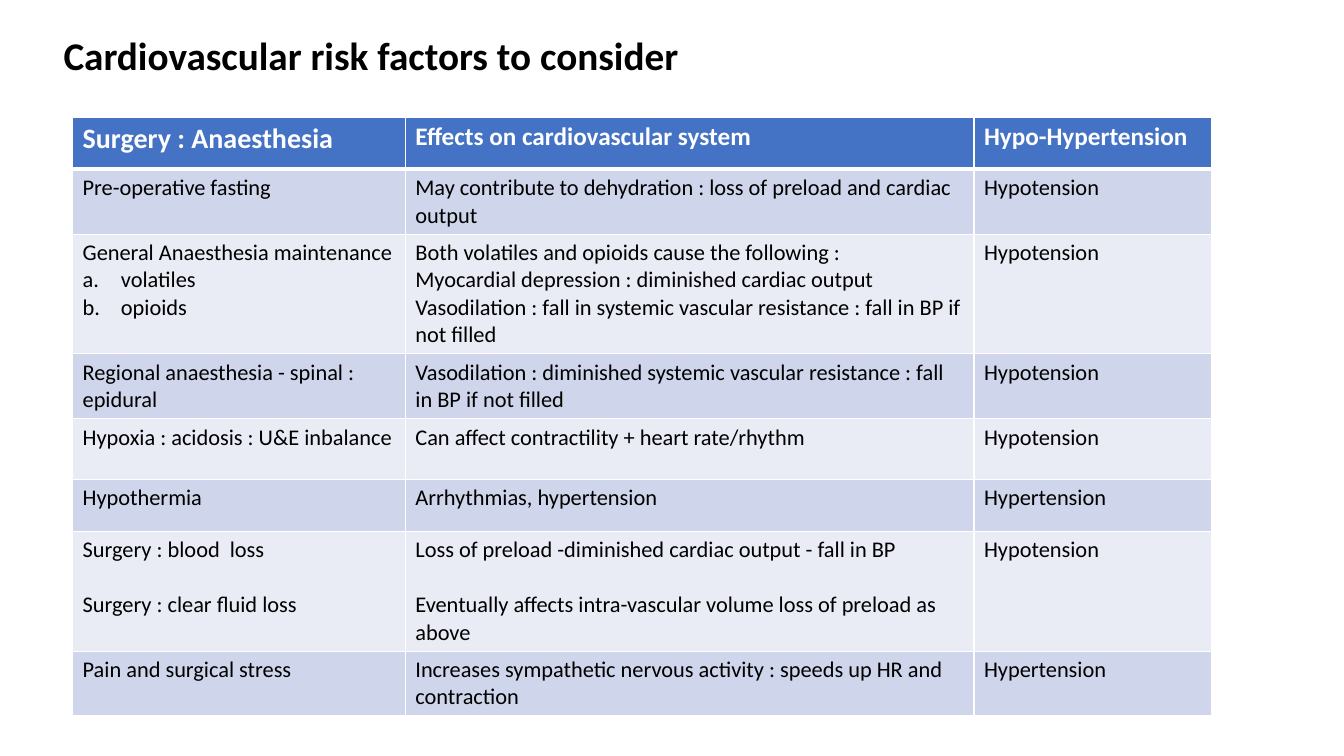
from lxml import etree
from pptx import Presentation
from pptx.dml.color import RGBColor
from pptx.enum.text import MSO_ANCHOR, MSO_AUTO_SIZE, PP_ALIGN
from pptx.oxml.ns import qn
from pptx.util import Pt

PX = 9144
FONT = "Calibri"
TOP = MSO_ANCHOR.TOP
NO_AUTOFIT = MSO_AUTO_SIZE.NONE
LEFT = PP_ALIGN.LEFT

BLACK = RGBColor(0x00, 0x00, 0x00)
WHITE = RGBColor(0xFF, 0xFF, 0xFF)
HEADER_BLUE = RGBColor(0x44, 0x72, 0xC4)
BANDS = [RGBColor(0xCF, 0xD5, 0xEA), RGBColor(0xE9, 0xEB, 0xF5)]

TITLE = "Cardiovascular risk factors to consider"
HEADERS = [
    ("Surgery : Anaesthesia", 20),
    ("Effects on cardiovascular system", 18),
    ("Hypo-Hypertension", 18),
]
RISKS = [
    ("Pre-operative fasting",
     "May contribute to dehydration : loss of preload and cardiac output",
     "Hypotension"),
    ("General Anaesthesia maintenance\nvolatiles\nopioids",
     "Both volatiles and opioids cause the following :\n"
     "Myocardial depression : diminished cardiac output\n"
     "Vasodilation : fall in systemic vascular resistance : fall in BP if not filled",
     "Hypotension"),
    ("Regional anaesthesia - spinal : epidural",
     "Vasodilation : diminished systemic vascular resistance : fall in BP if not filled",
     "Hypotension"),
    ("Hypoxia : acidosis : U&E inbalance",
     "Can affect contractility + heart rate/rhythm",
     "Hypotension"),
    ("Hypothermia", "Arrhythmias, hypertension", "Hypertension"),
    ("Surgery : blood  loss\nSurgery : clear fluid loss",
     "Loss of preload -diminished cardiac output - fall in BP\n"
     "Eventually affects intra-vascular volume loss of preload as above",
     "Hypotension"),
    ("Pain and surgical stress",
     "Increases sympathetic nervous activity : speeds up HR and contraction",
     "Hypertension"),
]
COLUMN_WIDTHS = [330, 564, 236]
ROW_HEIGHTS = [52, 60, 111, 60, 60, 52, 111, 60]
ANAESTHESIA_ROW = 2
BLOOD_LOSS_ROW = 6


def style_font(para, size, color, bold):
    para.font.name = FONT
    para.font.size = Pt(size)
    para.font.color.rgb = color
    para.font.bold = bold


def add_title(page, text):
    title = page.shapes.title
    title.left, title.top, title.width, title.height = (
        side * PX for side in (53, 19, 1000, 125))
    frame = title.text_frame
    frame.auto_size = NO_AUTOFIT
    frame.vertical_anchor = TOP
    frame.margin_top = 17 * PX
    frame.text = text
    para = frame.paragraphs[0]
    para.alignment = LEFT
    para.line_spacing = 0.9
    style_font(para, 28, BLACK, True)


def letter_item(para):
    properties = para._p.get_or_add_pPr()
    properties.set("marL", str(38 * PX))
    properties.set("indent", str(-38 * PX))
    etree.SubElement(properties, qn("a:buFont"), typeface="+mj-lt")
    etree.SubElement(properties, qn("a:buAutoNum"), type="alphaLcPeriod")


def set_borders(cell, top, bottom):
    properties = cell._tc.get_or_add_tcPr()
    widths = {"a:lnL": 1, "a:lnR": 1, "a:lnT": top, "a:lnB": bottom}
    for position, (tag, width) in enumerate(widths.items()):
        line = etree.Element(qn(tag), w=str(Pt(width)))
        fill = etree.SubElement(line, qn("a:solidFill"))
        etree.SubElement(fill, qn("a:srgbClr"), val=str(WHITE))
        properties.insert(position, line)


def fill_cell(cell, text, size, color, bold, fill):
    cell.text = text
    cell.fill.solid()
    cell.fill.fore_color.rgb = fill
    for para in cell.text_frame.paragraphs:
        style_font(para, size, color, bold)


def add_risk_table(page):
    table = page.shapes.add_table(
        len(ROW_HEIGHTS), len(COLUMN_WIDTHS), 72 * PX, 116 * PX,
        sum(COLUMN_WIDTHS) * PX, sum(ROW_HEIGHTS) * PX).table
    for column, width in zip(table.columns, COLUMN_WIDTHS):
        column.width = width * PX
    for row, height in zip(table.rows, ROW_HEIGHTS):
        row.height = height * PX
    for column, (text, size) in enumerate(HEADERS):
        cell = table.cell(0, column)
        fill_cell(cell, text, size, WHITE, True, HEADER_BLUE)
        set_borders(cell, 1, 3)
    for row, risk in enumerate(RISKS, start=1):
        for column, text in enumerate(risk):
            cell = table.cell(row, column)
            fill_cell(cell, text, 16, BLACK, False, BANDS[(row - 1) % 2])
            set_borders(cell, 3 if row == 1 else 1, 1)
    for para in table.cell(ANAESTHESIA_ROW, 0).text_frame.paragraphs[1:]:
        letter_item_first(para)
    for column in range(2):
        paras = table.cell(BLOOD_LOSS_ROW, column).text_frame.paragraphs
        paras[1].space_before = Pt(19.5)


def letter_item_first(para):
    size, color, bold = para.font.size.pt, para.font.color.rgb, para.font.bold
    properties = para._p.get_or_add_pPr()
    properties.remove(properties.find(qn("a:defRPr")))
    letter_item(para)
    style_font(para, size, color, bold)


def main():
    deck = Presentation()
    deck.slide_width = 1333 * PX
    deck.slide_height = 750 * PX
    page = deck.slides.add_slide(deck.slide_layouts[5])
    add_title(page, TITLE)
    add_risk_table(page)
    deck.save("out.pptx")


if __name__ == "__main__":
    main()
